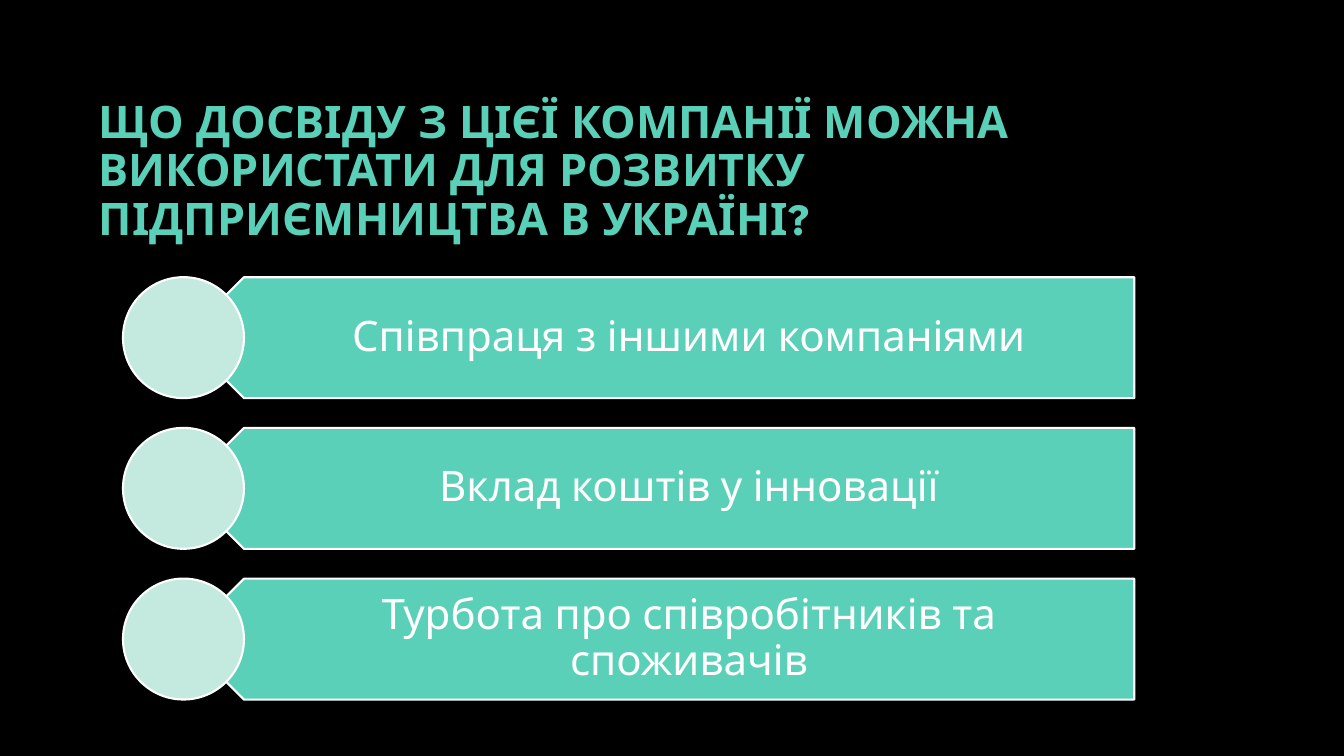
from pptx import Presentation
from pptx.dml.color import RGBColor as RGB
from pptx.enum.shapes import MSO_SHAPE as Shape
from pptx.enum.text import MSO_ANCHOR as Anchor, MSO_AUTO_SIZE as Fit, PP_ALIGN as Align
from pptx.util import Inches as In, Pt

theme = dict(
    back=RGB.from_string("000000"), mint=RGB.from_string("5AD0B8"),
    pale=RGB.from_string("C4E9DF"), white=RGB.from_string("FFFFFF"),
    face="League Spartan", head=Pt(32), item=Pt(30), line=Pt(1.5),
)
items = [
    "Співпраця з іншими компаніями",
    "Вклад коштів у інновації",
    "Турбота про співробітників та споживачів",
]

# Grid of the list: each row is as tall as its circle
left, top, size, step = 1.22, 2.75, 1.2, 1.495
width = 9.43


def write(frame, text, align, font):
    frame.word_wrap = True
    frame.auto_size = Fit.NONE
    frame.vertical_anchor = Anchor.MIDDLE
    para = frame.paragraphs[0]
    para.alignment = align
    para.line_spacing = 0.9
    run = para.add_run()
    run.text = text
    color = font.pop("color")
    for key, val in font.items():
        setattr(run.font, key, val)
    run.font.color.rgb = color


def draw(group, kind, x, y, w, fill):
    shape = group.shapes.add_shape(kind, In(x), In(y), In(w), In(size))
    shape.shadow.inherit = False
    shape.fill.solid()
    shape.fill.fore_color.rgb = fill
    shape.line.color.rgb = theme["white"]
    shape.line.width = theme["line"]
    return shape


# Slide and background
deck = Presentation()
deck.slide_width, deck.slide_height = In(13.33), In(7.5)
slide = deck.slides.add_slide(deck.slide_layouts[5])
slide.background.fill.solid()
slide.background.fill.fore_color.rgb = theme["back"]

# Title
title = slide.shapes.title
place = dict(left=In(0.88), top=In(0.67), width=In(11.11), height=In(2.08))
for key, val in place.items():
    setattr(title, key, val)
write(title.text_frame,
      "ЩО ДОСВІДУ З ЦІЄЇ КОМПАНІЇ МОЖНА ВИКОРИСТАТИ ДЛЯ РОЗВИТКУ ПІДПРИЄМНИЦТВА В УКРАЇНІ?",
      Align.LEFT,
      dict(name=theme["face"], size=theme["head"], bold=True, color=theme["mint"]))

# List: arrow bar, its text, and a circle over the tip
group = slide.shapes.add_group_shape()
inset = dict(margin_left=In(0.53), margin_right=In(0.23),
             margin_top=In(0.12), margin_bottom=In(0.12))
for row, item in enumerate(items):
    y = top + row * step
    bar = draw(group, Shape.PENTAGON, left + size / 2, y, width, theme["mint"])
    bar.rotation = 180

    box = group.shapes.add_textbox(In(left + size * 3 / 4), In(y),
                                   In(width - size / 4), In(size))
    for key, val in inset.items():
        setattr(box.text_frame, key, val)
    write(box.text_frame, item, Align.CENTER,
          dict(name=theme["face"], size=theme["item"], color=theme["white"]))

    draw(group, Shape.OVAL, left, y, size, theme["pale"])

deck.save("out.pptx")
